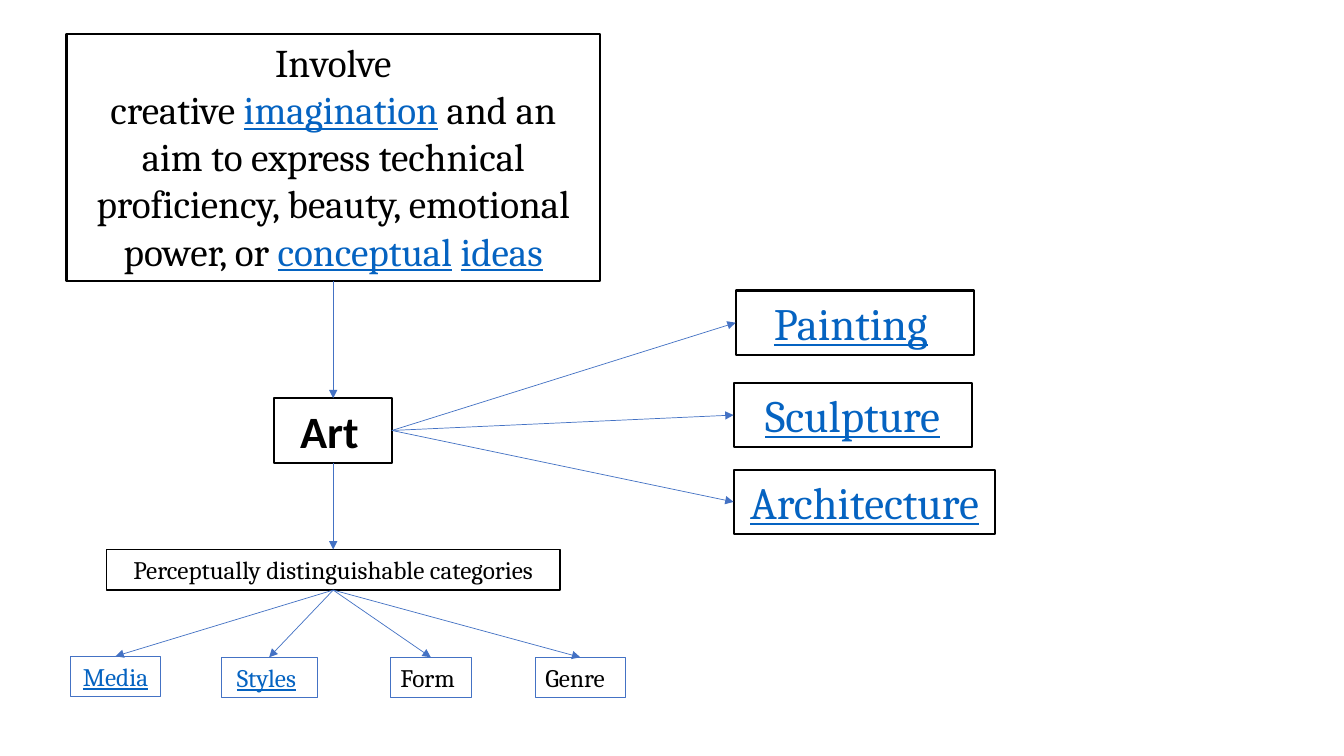
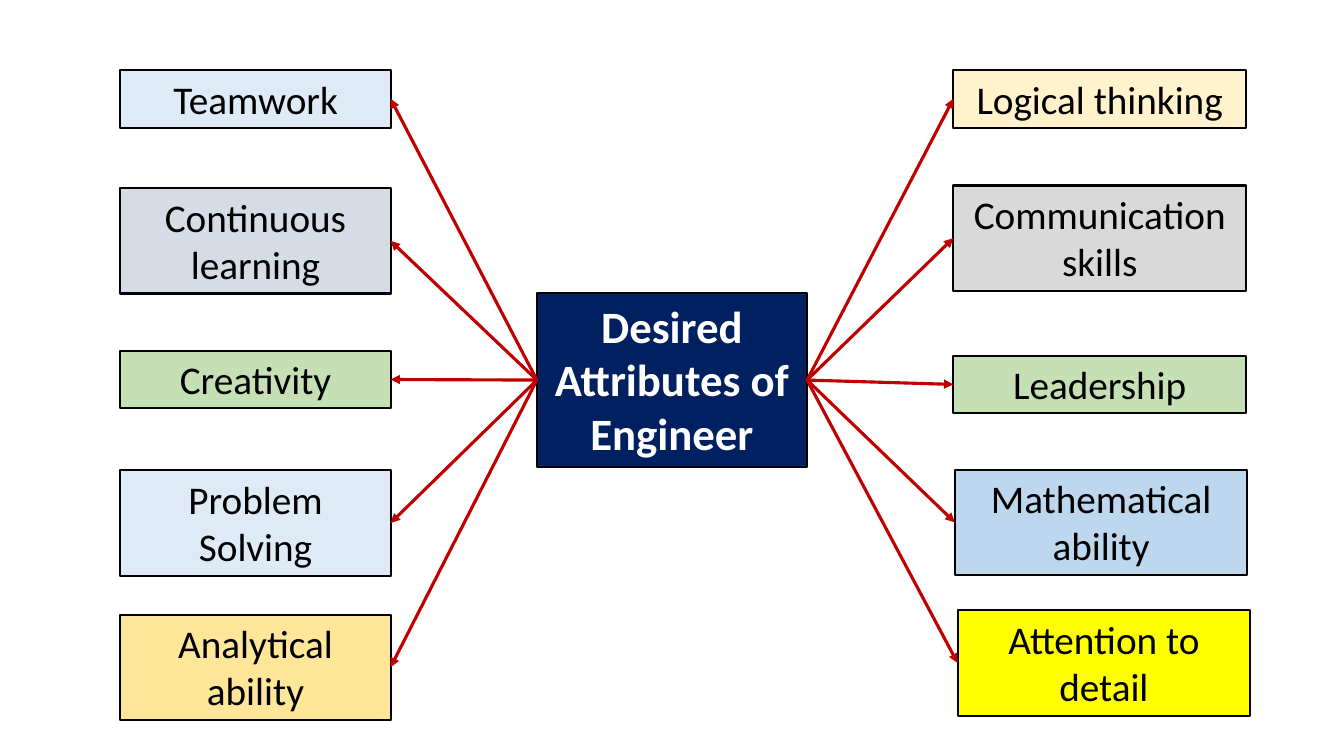
from dataclasses import dataclass

from lxml.etree import SubElement
from pptx import Presentation
from pptx.dml.color import RGBColor
from pptx.enum.shapes import MSO_CONNECTOR as Connector
from pptx.enum.shapes import MSO_SHAPE as Shape
from pptx.enum.text import MSO_ANCHOR as Anchor
from pptx.enum.text import MSO_AUTO_SIZE as AutoSize
from pptx.enum.text import PP_ALIGN as Align
from pptx.oxml.ns import qn
from pptx.util import Pt

BLACK, WHITE, NAVY = "000000", "FFFFFF", "002060"
BLUE, LINK_BLUE, RED = "4472C4", "0563C1", "C00000"
SERIF, SANS = "Cambria", "Calibri"
TOP, LEFT, BOTTOM, RIGHT = range(4)
NBSP = chr(160)


@dataclass
class Area:
    left: float
    top: float
    width: float
    height: float

    def inner(self, left, top, width, height):
        return Area(self.left + left, self.top + top, width, height)

    def lengths(self):
        return [Pt(n) for n in (self.left, self.top, self.width, self.height)]


def colour(value):
    return RGBColor.from_string(value)


def text_format(size, name=SERIF, color=BLACK, **extra):
    return {"size": Pt(size), "name": name, "color": color, **extra}


def link_format(size):
    return text_format(size, color=LINK_BLUE, underline=True)


def add_box(page, area, spans, fill=None, line=BLACK, weight=1.5, align=Align.CENTER):
    """Draw a framed rectangle; spans is a list of (text, format) pairs."""
    box = page.shapes.add_shape(Shape.RECTANGLE, *area.lengths())
    box.shadow.inherit = False
    if fill:
        box.fill.solid()
        box.fill.fore_color.rgb = colour(fill)
    else:
        box.fill.background()
    box.line.color.rgb = colour(line)
    box.line.width = Pt(weight)
    frame = box.text_frame
    frame.word_wrap = True
    frame.auto_size = AutoSize.SHAPE_TO_FIT_TEXT
    frame.vertical_anchor = Anchor.TOP
    para = frame.paragraphs[0]
    para.alignment = align
    for text, values in spans:
        span = para.add_run()
        span.text = text
        for key, value in values.items():
            if key == "color":
                span.font.color.rgb = colour(value)
            else:
                setattr(span.font, key, value)
    return box


def add_arrow(page, start, start_side, end, end_side, line=BLUE, weight=0.5):
    arrow = page.shapes.add_connector(Connector.STRAIGHT, 0, 0, 0, 0)
    arrow.begin_connect(start, start_side)
    arrow.end_connect(end, end_side)
    arrow.line.color.rgb = colour(line)
    arrow.line.width = Pt(weight)
    properties = arrow._element.spPr
    SubElement(properties.find(qn("a:ln")), qn("a:tailEnd"), type="triangle")
    SubElement(properties, qn("a:effectLst"))


def add_art_spine(page, area):
    """Stack definition, topic and categories on the centre line of the area."""
    plain, link = text_format(28), link_format(28)
    definition = [
        (f"Involve creative{NBSP}", plain),
        ("imagination", link),
        (f"{NBSP}and an aim to express technical proficiency, beauty, "
         f"emotional power, or{NBSP}", plain),
        ("conceptual", link),
        (NBSP, plain),
        ("ideas", link),
    ]
    topic = [("Art", text_format(32, SANS, bold=True)),
             (" ", text_format(24, SANS, bold=True))]
    categories = [("Perceptually distinguishable categories", text_format(18))]
    rows = [(0, 381, 177, 1.5, definition),
            (260.5, 84, 46, 1.5, topic),
            (368.5, 324, 29, 1, categories)]
    boxes = [
        add_box(page, area.inner((area.width - width) / 2, top, width, height),
                spans, weight=weight)
        for top, width, height, weight, spans in rows
    ]
    for upper, lower in zip(boxes, boxes[1:]):
        add_arrow(page, upper, BOTTOM, lower, TOP)
    return boxes[1:]


def add_art_forms(page, area, topic):
    tail = (" ", text_format(24, SANS, bold=True))
    forms = [("Painting", 1.5, 0, 170, [tail]),
             ("Sculpture", 0, 66, 170, []),
             ("Architecture", 0, 128, 187, [])]
    for text, left, top, width, extra in forms:
        box = add_box(page, area.inner(left, top, width, 46),
                      [(text, link_format(32)), *extra])
        add_arrow(page, topic, RIGHT, box, LEFT)


def add_art_categories(page, area, heading):
    plain, link = text_format(18), link_format(18)
    tail = (" ", plain)
    items = [(0, 0, 64, 0.5, Align.CENTER, [("Media", link), tail]),
             (107.5, 0.75, 68.5, 0.75, Align.CENTER, [("Styles", link), tail]),
             (228.5, 0.75, 57.5, 0.75, Align.LEFT, [("Form", plain)]),
             (332, 0.75, 64, 0.75, Align.LEFT, [("Genre", plain)])]
    for left, top, width, weight, align, spans in items:
        box = add_box(page, area.inner(left, top, width, 29), spans,
                      line=BLUE, weight=weight, align=align)
        add_arrow(page, heading, BOTTOM, box, TOP)


def build_art_map(page, area):
    topic, categories = add_art_spine(page, area.inner(47.5, 24, 381, 397))
    add_art_forms(page, area.inner(524, 207.5, 187, 174), topic)
    add_art_categories(page, area.inner(50.5, 468.75, 396, 30), categories)


def add_attributes(page, area, items, topic, topic_side, item_side):
    """Place a column of attributes, each reached by an arrow from the topic."""
    for text, left, top, lines, fill in items:
        height = 7.2 + 34 * lines
        box = add_box(page, area.inner(left, top, area.width, height),
                      [(text, text_format(28, SANS))], fill=fill)
        add_arrow(page, topic, topic_side, box, item_side, RED, 2.25)


def build_engineer_map(page, area):
    width, height = 193, 124
    middle = area.inner((area.width - width) / 2, (area.height - height) / 2 + 1.5,
                        width, height)
    topic = add_box(page, middle,
                    [("Desired Attributes of Engineer",
                      text_format(32, SANS, WHITE, bold=True))], fill=NAVY)
    left_items = [("Teamwork", 0, 0, 1, "DEEBF7"),
                  ("Continuous learning", 0, 84.5, 2, "D6DCE5"),
                  ("Creativity", 0, 200.5, 1, "C5E0B4"),
                  ("Problem Solving", 0, 286, 2, "DEEBF7"),
                  ("Analytical ability", 0, 389, 2, "FFE699")]
    right_items = [("Logical thinking", 0, 0, 1, "FFF2CC"),
                   ("Communication skills", 0, 82.5, 2, "D9D9D9"),
                   ("Leadership", 0, 204, 1, "C5E0B4"),
                   ("Mathematical ability", 1, 285.5, 2, "BDD7EE"),
                   ("Attention to detail", 3, 386, 2, "FFFF00")]
    add_attributes(page, area.inner(86, 50, width, 464), left_items, topic, LEFT, RIGHT)
    add_attributes(page, area.inner(681, 50, 209, 464), right_items, topic, RIGHT, LEFT)


def main():
    deck = Presentation()
    whole = Area(0, 0, 960, 540)
    deck.slide_width, deck.slide_height = Pt(whole.width), Pt(whole.height)
    blank = deck.slide_layouts[6]
    for build in (build_art_map, build_engineer_map):
        build(deck.slides.add_slide(blank), whole)
    deck.save("out.pptx")


if __name__ == "__main__":
    main()
